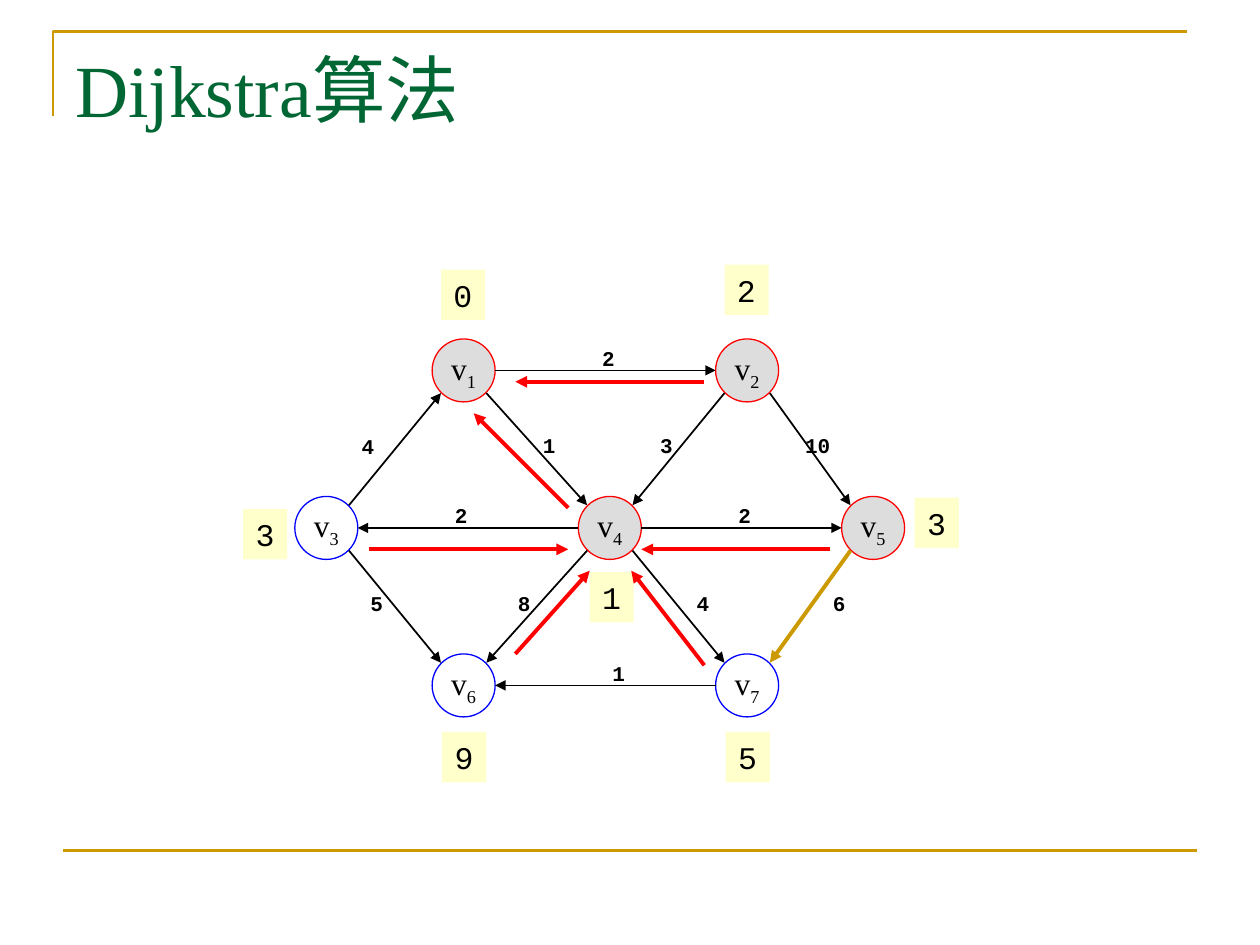
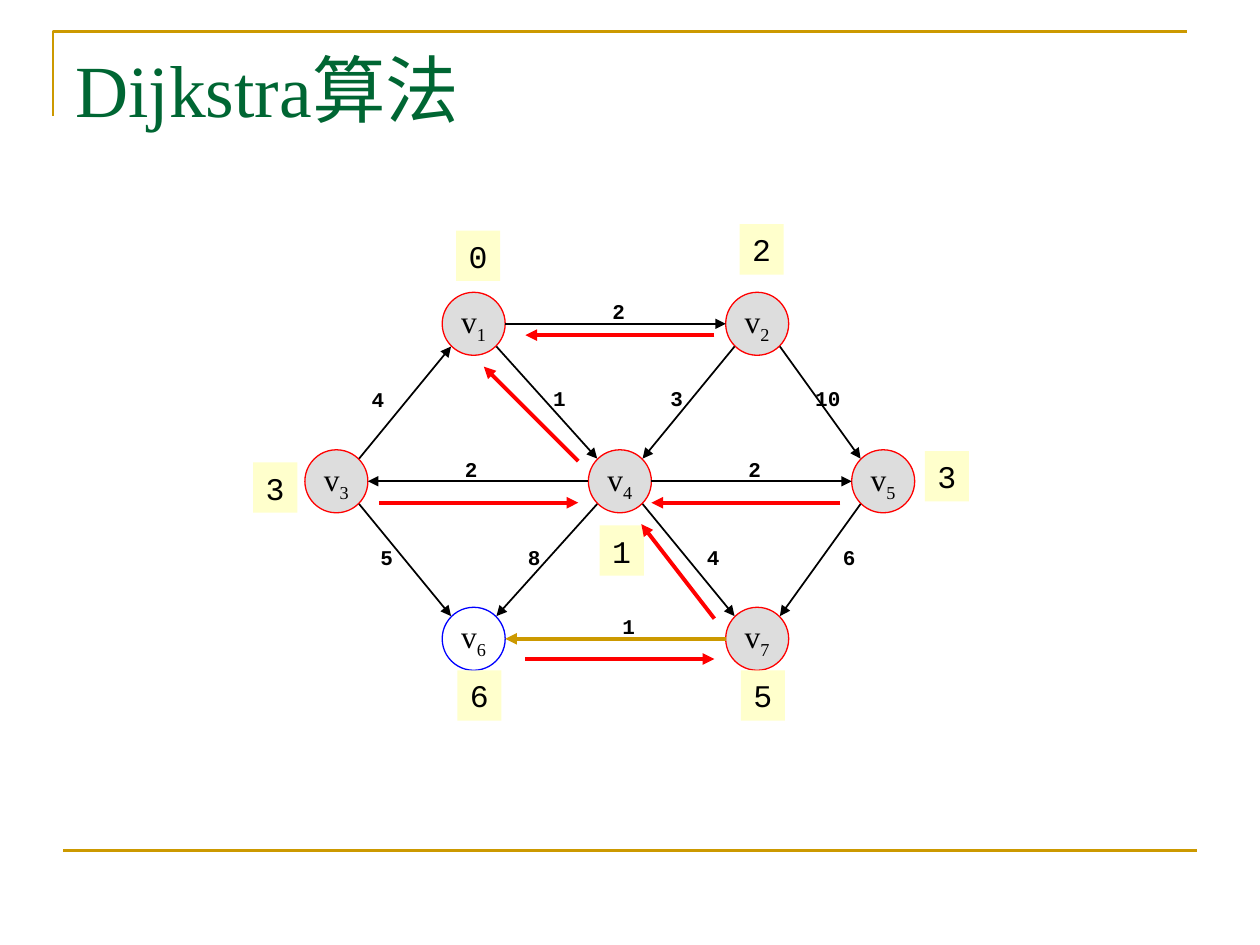
from math import copysign
from pptx import Presentation
from pptx.dml.color import RGBColor
from pptx.enum.shapes import MSO_CONNECTOR, MSO_SHAPE
from pptx.enum.text import MSO_ANCHOR, MSO_AUTO_SIZE, PP_ALIGN
from pptx.oxml.ns import qn
from pptx.util import Inches, Pt
from lxml.etree import SubElement

GOLD, GREEN, RED, BLUE = "CC9900", "006633", "FF0000", "0000FF"
BLACK, GREY, CREAM = "000000", "DDDDDD", "FFFFCC"
SERIF, MONO = "Times New Roman", "Courier New"
SIDE, DIAG = 0.25, 0.18

NODES = {
    1: (3.68, 2.94), 2: (5.93, 2.94),
    3: (2.59, 4.19), 4: (4.84, 4.19), 5: (6.93, 4.19),
    6: (3.68, 5.44), 7: (5.93, 5.44),
}
EDGES = [
    (1, 2, "2", 4.68, 2.69), (1, 4, "1", 4.21, 3.38),
    (2, 4, "3", 5.14, 3.38), (2, 5, "10", 6.29, 3.38),
    (3, 1, "4", 2.77, 3.39), (3, 6, "5", 2.84, 4.64),
    (4, 3, "2", 3.51, 3.94), (4, 5, "2", 5.76, 3.94),
    (4, 6, "8", 4.01, 4.64), (4, 7, "4", 5.43, 4.64),
    (5, 7, "6", 6.51, 4.64), (7, 6, "1", 4.76, 5.19),
]
TRAILS = [
    ((4.51, 4.03), (3.76, 3.28)), ((5.59, 3.03), (4.09, 3.03)),
    ((6.59, 4.36), (5.09, 4.36)), ((5.59, 5.28), (5.01, 4.53)),
    ((2.93, 4.36), (4.51, 4.36)),
]
COSTS = [("3", 1.93, 4.04), ("3", 7.26, 3.95), ("1", 4.68, 4.54)]
STEPS = [
    {
        "shift": (0, 0), "done": {1, 2, 4, 5}, "pick": (5, 7),
        "trail": ((4.09, 5.19), (4.68, 4.53)),
        "costs": [("9", 3.51, 5.81), ("5", 5.76, 5.81),
                  ("0", 3.5, 2.14), ("2", 5.75, 2.1)],
    },
    {
        "shift": (0.08, -0.37), "done": {1, 2, 3, 4, 5, 7}, "pick": (7, 6),
        "trail": ((4.09, 5.6), (5.59, 5.6)),
        "costs": [("6", 3.55, 5.69), ("5", 5.8, 5.69),
                  ("0", 3.54, 2.2), ("2", 5.79, 2.15)],
    },
]


def tint(code):
    return RGBColor.from_string(code)


class Board:
    def __init__(self):
        self.deck = Presentation()
        self.deck.slide_width = Inches(10)
        self.deck.slide_height = Inches(7.5)
        self.shapes = None
        self.shift = (0, 0)

    def page(self, title):
        self.shapes = self.deck.slides.add_slide(self.deck.slide_layouts[6]).shapes
        self.shift = (0, 0)
        path = self.shapes.build_freeform(Inches(0.42), Inches(0.92))
        path.add_line_segments(
            [(Inches(0.42), Inches(0.25)), (Inches(9.42), Inches(0.25))], close=False)
        self.paint(path.convert_to_shape(), None, GOLD, 1.5)
        self.line((0.5, 6.75), (9.5, 6.75), GOLD, 1.5, False)
        frame = self.shapes.add_textbox(*self.box(0.5, 0.3, 9, 1.25)).text_frame
        frame.word_wrap = True
        self.run(frame, title, 42, SERIF, GREEN)

    def box(self, x, y, w, h):
        dx, dy = self.shift
        return Inches(x + dx), Inches(y + dy), Inches(w), Inches(h)

    def paint(self, shape, fill, line=None, width=0.75):
        shape.shadow.inherit = False
        if fill:
            shape.fill.solid()
            shape.fill.fore_color.rgb = tint(fill)
        else:
            shape.fill.background()
        if line:
            shape.line.color.rgb = tint(line)
            shape.line.width = Pt(width)
        else:
            shape.line.fill.background()

    def run(self, frame, text, size, face, color=BLACK, bold=False):
        run = frame.paragraphs[0].add_run()
        run.text = text
        font = run.font
        font.size, font.name, font.bold = Pt(size), face, bold
        font.color.rgb = tint(color)
        return run

    def fit(self, shape, align, anchor, grow=True):
        frame = shape.text_frame
        frame.word_wrap = False
        if grow:
            frame.auto_size = MSO_AUTO_SIZE.SHAPE_TO_FIT_TEXT
        frame.vertical_anchor = anchor
        frame.paragraphs[0].alignment = align
        return frame

    def line(self, start, end, color, width, arrow=True):
        dx, dy = self.shift
        line = self.shapes.add_connector(
            MSO_CONNECTOR.STRAIGHT,
            Inches(start[0] + dx), Inches(start[1] + dy),
            Inches(end[0] + dx), Inches(end[1] + dy))
        line.line.color.rgb = tint(color)
        line.line.width = Pt(width)
        if arrow:
            SubElement(line.line._get_or_add_ln(), qn("a:tailEnd"), type="triangle")
        SubElement(line._element.spPr, qn("a:effectLst"))

    def edge(self, start, end, color, width):
        (ax, ay), (bx, by) = NODES[start], NODES[end]
        if ay == by:
            dx, dy = copysign(SIDE, bx - ax), 0
        else:
            dx, dy = copysign(DIAG, bx - ax), copysign(DIAG, by - ay)
        self.line((ax + dx, ay + dy), (bx - dx, by - dy), color, width)

    def node(self, num, done):
        x, y = NODES[num]
        oval = self.shapes.add_shape(
            MSO_SHAPE.OVAL, *self.box(x - SIDE, y - SIDE, 2 * SIDE, 2 * SIDE))
        self.paint(oval, GREY if done else None, RED if done else BLUE)
        frame = self.fit(oval, PP_ALIGN.CENTER, MSO_ANCHOR.MIDDLE, False)
        self.run(frame, "v", 18, SERIF)
        sub = self.run(frame, str(num), 18, SERIF)
        sub._r.get_or_add_rPr().set("baseline", "-25000")

    def weight(self, text, x, y):
        label = self.shapes.add_textbox(*self.box(x, y, 0.2 + 0.1 * len(text), 0.3))
        frame = self.fit(label, PP_ALIGN.CENTER, MSO_ANCHOR.MIDDLE)
        self.run(frame, text, 12, MONO, bold=True)

    def cost(self, text, x, y):
        tag = self.shapes.add_shape(MSO_SHAPE.RECTANGLE, *self.box(x, y, 0.35, 0.4))
        self.paint(tag, CREAM)
        frame = self.fit(tag, PP_ALIGN.LEFT, MSO_ANCHOR.TOP)
        self.run(frame, text, 18, MONO)

    def graph(self, step):
        self.shift = step["shift"]
        for num in NODES:
            self.node(num, num in step["done"])
        for start, end, text, x, y in EDGES:
            pick = (start, end) == step["pick"]
            self.edge(start, end, GOLD if pick else BLACK, 2.25 if pick else 1)
            self.weight(text, x, y)
        for item in COSTS + step["costs"]:
            self.cost(*item)
        for start, end in TRAILS + [step["trail"]]:
            self.line(start, end, RED, 2.25)


def main():
    board = Board()
    for step in STEPS:
        board.page("Dijkstra算法")
        board.graph(step)
    board.deck.save("out.pptx")


if __name__ == "__main__":
    main()
